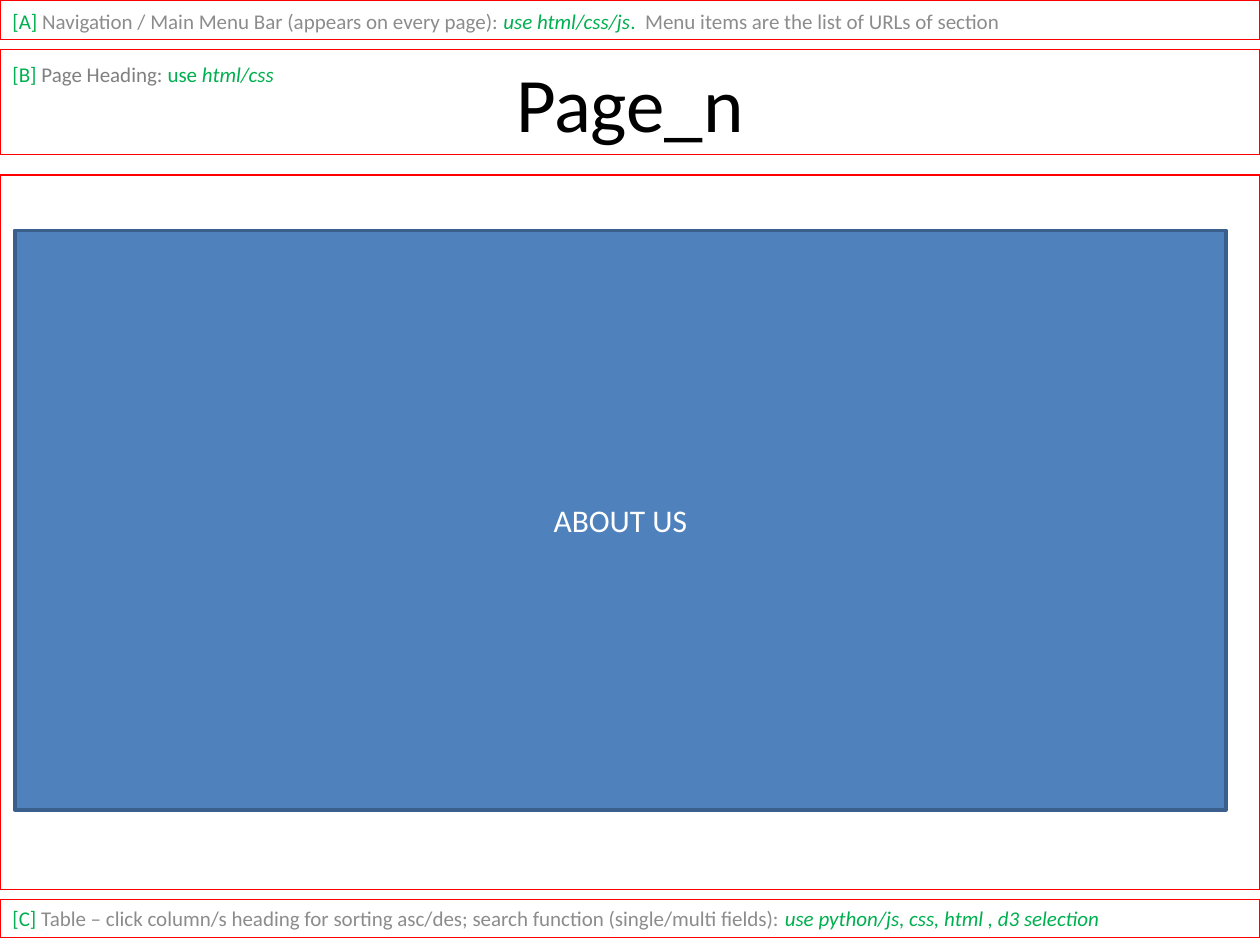
import pptx
import pptx.dml.color
import pptx.enum.shapes
import pptx.enum.text
import pptx.util
from dataclasses import dataclass

Pt = pptx.util.Pt
Color = pptx.dml.color.RGBColor.from_string
Align = pptx.enum.text.PP_ALIGN
Anchor = pptx.enum.text.MSO_ANCHOR


@dataclass(frozen=True)
class Theme:
    font: str = "Calibri"
    frame: str = "FF0000"
    panel: str = "4F81BD"
    panel_edge: str = "3A5F8C"
    title: str = "000000"
    on_panel: str = "FFFFFF"
    accent: str = "00B050"
    label: str = "8C8C8C"
    heading_label: str = "808080"
    note_size: int = 12
    panel_size: int = 18
    title_size: int = 44


theme = Theme()
deck = pptx.Presentation()
deck.slide_width, deck.slide_height = Pt(720), Pt(540)
slide = deck.slides.add_slide(deck.slide_layouts[6])


def add_box(left, top, width, height, line=None, weight=0.75, fill=None):
    box = slide.shapes.add_shape(
        pptx.enum.shapes.MSO_SHAPE.RECTANGLE,
        Pt(left), Pt(top), Pt(width), Pt(height))
    box.shadow.inherit = False
    if fill:
        box.fill.solid()
        box.fill.fore_color.rgb = Color(fill)
    else:
        box.fill.background()
    if line:
        box.line.color.rgb = Color(line)
        box.line.width = Pt(weight)
    else:
        box.line.fill.background()
    return box


def write(box, spans, size, align=Align.LEFT, anchor=Anchor.TOP):
    """Fill the box with one paragraph of (text, colour, italic) spans."""
    frame = box.text_frame
    frame.word_wrap = True
    frame.vertical_anchor = anchor
    para = frame.paragraphs[0]
    para.alignment = align
    for text, color, italic in spans:
        span = para.add_run()
        span.text = text
        span.font.name = theme.font
        span.font.size = Pt(size)
        span.font.italic = italic
        span.font.color.rgb = Color(color)
    return para


# Page heading
title = add_box(0, 28.2, 720, 60.2, theme.frame)
write(title, [("Page_n", theme.title, False)],
      theme.title_size, Align.CENTER, Anchor.MIDDLE)

# Navigation bar
navigation = add_box(0, 0, 720, 22.5, theme.frame)
para = write(navigation, [
    ("[A] ", theme.accent, False),
    ("Navigation / Main Menu Bar (appears on every page): ", theme.label, False),
    ("use html/css/js", theme.accent, True),
    (".  ", theme.accent, False),
    ("Menu items are the list of URLs of section", theme.label, False),
], theme.note_size, anchor=Anchor.BOTTOM)
para.line_spacing = 0.8

# Content area
add_box(0, 100, 720, 408.2, theme.frame)
panel = add_box(8.5, 131.6, 692, 331.2, theme.panel_edge, 2, theme.panel)
write(panel, [("ABOUT US", theme.on_panel, False)],
      theme.panel_size, Align.CENTER, Anchor.MIDDLE)

# Heading note
heading_note = slide.shapes.add_textbox(Pt(0), Pt(31.7), Pt(247), Pt(21.8))
write(heading_note, [
    ("[B] ", theme.accent, False),
    ("Page Heading: ", theme.heading_label, False),
    ("use ", theme.accent, False),
    ("html/css", theme.accent, True),
], theme.note_size)

# Table note
table_note = add_box(0, 514, 720, 21.8, theme.frame)
write(table_note, [
    ("[C] ", theme.accent, False),
    ("Table – click column/s heading for sorting asc/des; "
     "search function (single/multi fields): ", theme.label, False),
    ("use python/js, css, html , d3 selection", theme.accent, True),
], theme.note_size)

deck.save("out.pptx")
